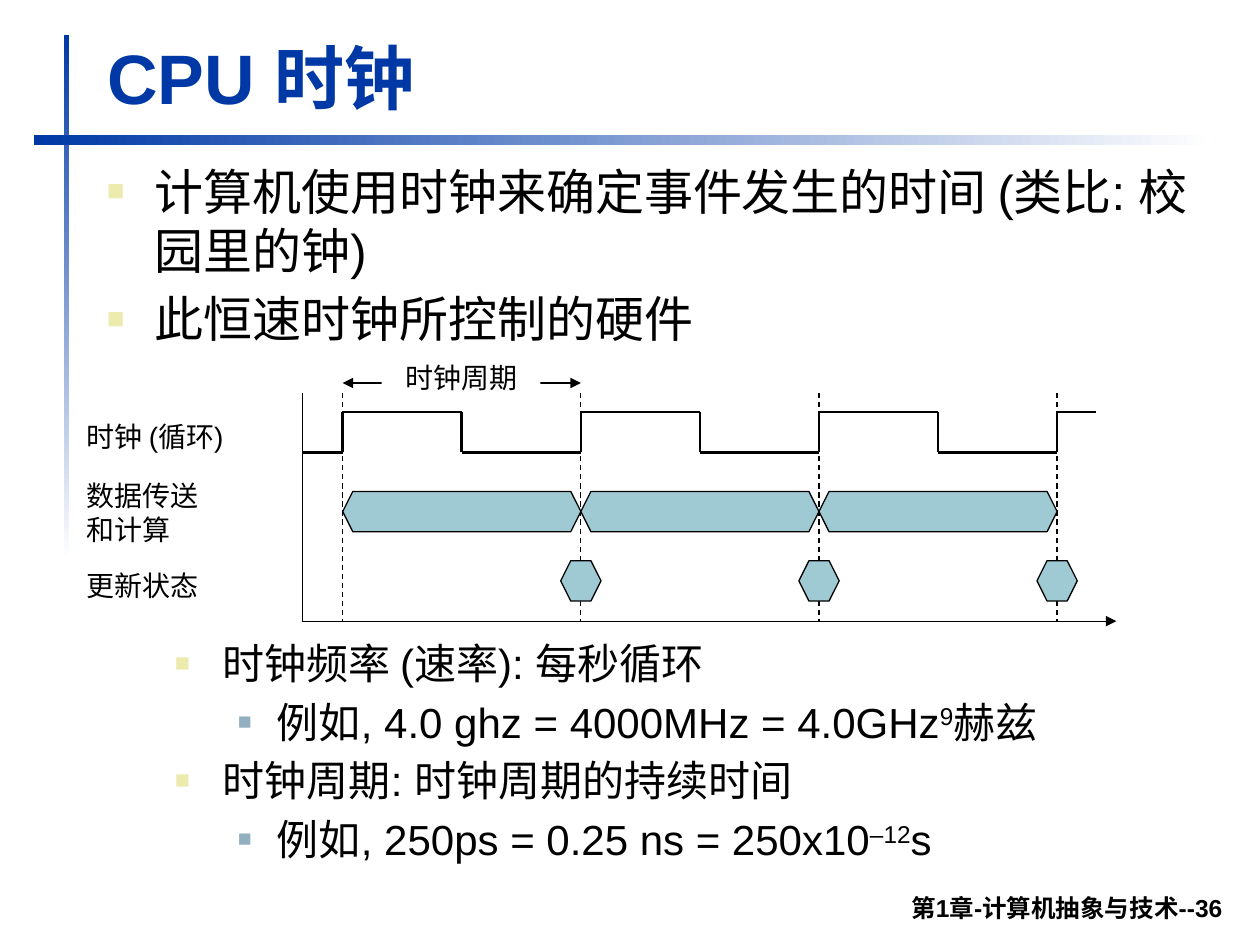
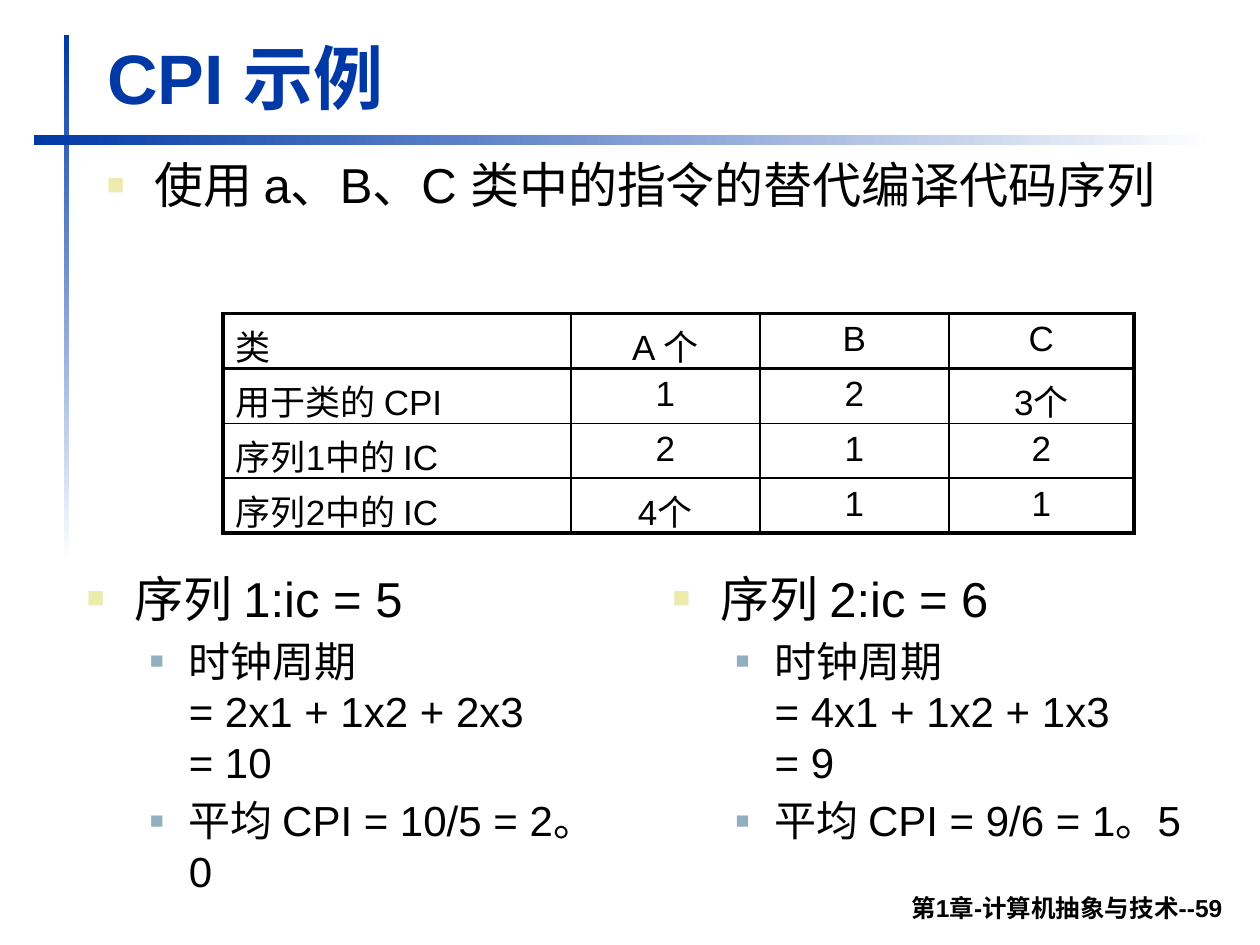
import pptx
import pptx.util
import pptx.dml.color
import pptx.enum.dml
import pptx.enum.shapes
import pptx.enum.text
import pptx.oxml
import pptx.oxml.ns
from lxml import etree

Inches = pptx.util.Inches
Pt = pptx.util.Pt
Align = pptx.enum.text.PP_ALIGN
Anchor = pptx.enum.text.MSO_ANCHOR
qn = pptx.oxml.ns.qn

FONT = "Arial"
BLUE, BLACK, WHITE, TEAL = "0039A6", "000000", "FFFFFF", "9FCAD3"
LEVELS = [
    {"margin": 0.38, "hang": 0.38, "color": "ECEAAC", "percent": 60},
    {"margin": 0.81, "hang": 0.31, "color": "91AFBF", "percent": 55},
]
BANDS = [((0.51, 0.28, 0.04, 4.17), 270), ((0.27, 1.07, 9.37, 0.08), 0)]
TITLE_AREA = (0.75, 0.22, 9.03, 0.77)
FOOTER_AREA = (1.85, 6.98, 7.95, 0.39)
FOOTER = "第1章-计算机抽象与技术--{}"

CLOCK_POINTS = [
    (0, 28, "计算机使用时钟来确定事件发生的时间 (类比: 校园里的钟)"),
    (0, 28, "此恒速时钟所控制的硬件"),
]
RATE_POINTS = [
    (0, 24, "时钟频率 (速率): 每秒循环"),
    (1, 24, "例如, 4.0 ghz = 4000MHz = 4.0GHz^9^赫兹"),
    (0, 24, "时钟周期: 时钟周期的持续时间"),
    (1, 24, "例如, 250ps = 0.25 ns = 250x10^–12^s"),
]
TIMING_LABELS = [
    ("时钟 (循环)", (0.59, 3.28, 1.58, 0.37), Align.LEFT),
    ("数据传送\n和计算", (0.59, 3.75, 1.84, 0.64), Align.LEFT),
    ("更新状态", (0.59, 4.46, 1.46, 0.37), Align.LEFT),
    ("时钟周期", (2.95, 2.81, 1.43, 0.37), Align.CENTER),
]
FIRST_EDGE, PERIOD, CYCLES = 2.72, 1.89, 3
AXIS_LEFT, AXIS_TOP, AXIS_BOTTOM, AXIS_RIGHT = 2.4, 3.12, 4.93, 8.86
HIGH, LOW, WAVE_END, PERIOD_ARROW_Y = 3.27, 3.59, 8.7, 3.04
DATA_TOP, STATE_TOP, BLOCK_HEIGHT = 3.9, 4.45, 0.32
NOTCH = 0.08

SEQUENCE_INTRO = [(0, 28, "使用 a、B、C 类中的指令的替代编译代码序列")]
CPI_ROWS = [
    ["类", "A 个", "B", "C"],
    ["用于类的 CPI", "1", "2", "3个"],
    ["序列1中的 IC", "2", "1", "2"],
    ["序列2中的 IC", "4个", "1", "1"],
]
CPI_AREA = (1.77, 2.49, 7.23, 1.74)
CPI_COLUMNS = [2.76, 1.5, 1.5, 1.47]
SEQUENCES = [
    [
        (0, 28, "序列 1:ic = 5"),
        (1, 24, "时钟周期\n= 2x1 + 1x2 + 2x3\n= 10"),
        (1, 24, "平均 CPI = 10/5 = 2。0"),
    ],
    [
        (0, 28, "序列 2:ic = 6"),
        (1, 24, "时钟周期\n= 4x1 + 1x2 + 1x3\n= 9"),
        (1, 24, "平均 CPI = 9/6 = 1。5"),
    ],
]


def rgb(value):
    return pptx.dml.color.RGBColor.from_string(value)


def lengths(values):
    return [Inches(value) for value in values]


def add_element(parent, tag, **attributes):
    return etree.SubElement(parent, qn(tag), attributes)


def set_font(para, size, color=BLACK, bold=False):
    font = para.font
    font.name, font.size, font.bold = FONT, Pt(size), bold
    font.color.rgb = rgb(color)


def add_text(page, text, area, size, align=Align.LEFT, bold=False, anchor=Anchor.TOP):
    frame = page.shapes.add_textbox(*lengths(area)).text_frame
    frame.word_wrap = True
    frame.vertical_anchor = anchor
    para = frame.paragraphs[0]
    para.text = text
    para.alignment = align
    set_font(para, size, bold=bold)


def fill_with_superscripts(para, text):
    for index, piece in enumerate(text.split("^")):
        span = para.add_run()
        span.text = piece
        if index % 2:
            span._r.get_or_add_rPr().set("baseline", "30000")


def add_bullet(para, level):
    properties = para._p.get_or_add_pPr()
    properties.set("marL", str(Inches(level["margin"])))
    properties.set("indent", str(-Inches(level["hang"])))
    color = add_element(properties, "a:buClr")
    add_element(color, "a:srgbClr", val=level["color"])
    add_element(properties, "a:buSzPct", val=str(level["percent"] * 1000))
    add_element(properties, "a:buFont", typeface=FONT)
    add_element(properties, "a:buChar", char="■")


def add_points(page, points, area, line_spacing=1.0):
    frame = page.shapes.add_textbox(*lengths(area)).text_frame
    frame.word_wrap = True
    for index, (level, size, text) in enumerate(points):
        para = frame.add_paragraph() if index else frame.paragraphs[0]
        if "^" in text:
            fill_with_superscripts(para, text)
        else:
            para.text = text
        para.line_spacing = line_spacing
        para.space_before = Pt(size * 0.2 if index else 0)
        add_bullet(para, LEVELS[level])
        set_font(para, size)


def add_page(deck, title, number):
    page = deck.slides.add_slide(deck.slide_layouts[5])
    for area, angle in BANDS:
        band = page.shapes.add_shape(pptx.enum.shapes.MSO_SHAPE.RECTANGLE, *lengths(area))
        band.shadow.inherit = False
        band.line.fill.background()
        band.fill.gradient()
        band.fill.gradient_angle = angle
        for stop, color in zip(band.fill.gradient_stops, (BLUE, WHITE)):
            stop.color.rgb = rgb(color)
    heading = page.shapes.title
    heading.left, heading.top, heading.width, heading.height = lengths(TITLE_AREA)
    frame = heading.text_frame
    frame.text = title
    frame.auto_size = pptx.enum.text.MSO_AUTO_SIZE.NONE
    frame.vertical_anchor = Anchor.BOTTOM
    frame.paragraphs[0].alignment = Align.LEFT
    set_font(frame.paragraphs[0], 40, BLUE, True)
    add_text(page, FOOTER.format(number), FOOTER_AREA, 14, Align.RIGHT, True, Anchor.BOTTOM)
    return page


def add_line(page, start, end, width=0.75, dashed=False, arrows=()):
    line = page.shapes.add_connector(
        pptx.enum.shapes.MSO_CONNECTOR.STRAIGHT, *lengths(start + end))
    line.line.color.rgb = rgb(BLACK)
    line.line.width = Pt(width)
    if dashed:
        line.line.dash_style = pptx.enum.dml.MSO_LINE.DASH
    for arrow in arrows:
        add_element(line.line._get_or_add_ln(), arrow, type="triangle")
    add_element(line._element.spPr, "a:effectLst")


def add_hexagon(page, left, top, width):
    right, middle, bottom = left + width, top + BLOCK_HEIGHT / 2, top + BLOCK_HEIGHT
    outline = [
        (left, middle), (left + NOTCH, top), (right - NOTCH, top),
        (right, middle), (right - NOTCH, bottom), (left + NOTCH, bottom),
    ]
    corners = [lengths(corner) for corner in outline]
    builder = page.shapes.build_freeform(*corners[0])
    builder.add_line_segments(corners[1:], close=True)
    block = builder.convert_to_shape()
    block.shadow.inherit = False
    block.fill.solid()
    block.fill.fore_color.rgb = rgb(TEAL)
    block.line.color.rgb = rgb(BLACK)
    block.line.width = Pt(0.75)


def draw_timing(page):
    edges = [FIRST_EDGE + PERIOD * index for index in range(CYCLES + 1)]
    add_line(page, (edges[0], PERIOD_ARROW_Y), (edges[1], PERIOD_ARROW_Y),
             arrows=("a:headEnd", "a:tailEnd"))
    for edge in edges:
        add_line(page, (edge, AXIS_TOP), (edge, AXIS_BOTTOM), dashed=True)

    wave = [(AXIS_LEFT, LOW)]
    for edge in edges[:-1]:
        fall = edge + PERIOD / 2
        wave += [(edge, LOW), (edge, HIGH), (fall, HIGH), (fall, LOW)]
    wave += [(edges[-1], LOW), (edges[-1], HIGH), (WAVE_END, HIGH)]
    for start, end in zip(wave, wave[1:]):
        add_line(page, start, end, 1.5)

    origin = (AXIS_LEFT, AXIS_BOTTOM)
    add_line(page, origin, (AXIS_RIGHT, AXIS_BOTTOM), arrows=("a:tailEnd",))
    add_line(page, origin, (AXIS_LEFT, AXIS_TOP))
    for start, end in zip(edges, edges[1:]):
        add_hexagon(page, start, DATA_TOP, PERIOD)
        add_hexagon(page, end - BLOCK_HEIGHT / 2, STATE_TOP, BLOCK_HEIGHT)

    label_gap = page.shapes.add_shape(
        pptx.enum.shapes.MSO_SHAPE.RECTANGLE, *lengths((3.03, 2.96, 1.26, 0.16)))
    label_gap.shadow.inherit = False
    label_gap.fill.solid()
    label_gap.fill.fore_color.rgb = rgb(WHITE)
    label_gap.line.fill.background()
    for text, area, align in TIMING_LABELS:
        add_text(page, text, area, 16, align)


def set_borders(cell, thick_sides):
    properties = cell._tc.get_or_add_tcPr()
    for side in "LRTB":
        width = Pt(2.25 if side in thick_sides else 1)
        border = add_element(properties, "a:ln" + side, w=str(width))
        add_element(add_element(border, "a:solidFill"), "a:srgbClr", val=BLACK)


def add_cpi_table(page):
    row_count, column_count = len(CPI_ROWS), len(CPI_COLUMNS)
    table = page.shapes.add_table(row_count, column_count, *lengths(CPI_AREA)).table
    table.first_row = table.horz_banding = False
    for column, width in zip(table.columns, CPI_COLUMNS):
        column.width = Inches(width)
    for row, texts in enumerate(CPI_ROWS):
        for column, text in enumerate(texts):
            cell = table.cell(row, column)
            sides = {
                "L": column == 0,
                "R": column == column_count - 1,
                "T": row in (0, 1),
                "B": row in (0, row_count - 1),
            }
            set_borders(cell, [side for side, thick in sides.items() if thick])
            cell.fill.background()
            para = cell.text_frame.paragraphs[0]
            para.text = text
            para.alignment = Align.CENTER if column else Align.LEFT
            set_font(para, 20)


def main():
    deck = pptx.Presentation()
    deck.slide_width, deck.slide_height = Inches(10), Inches(7.5)

    clock_page = add_page(deck, "CPU 时钟", 36)
    add_points(clock_page, CLOCK_POINTS, (0.75, 1.23, 9.05, 1.65))
    draw_timing(clock_page)
    add_points(clock_page, RATE_POINTS, (1.29, 5.01, 8.5, 2.13))

    cpi_page = add_page(deck, "CPI 示例", 59)
    add_points(cpi_page, SEQUENCE_INTRO, (0.75, 1.23, 9.05, 1.09), 0.9)
    add_cpi_table(cpi_page)
    for index, points in enumerate(SEQUENCES):
        add_points(cpi_page, points, (0.59 + 4.65 * index, 4.46, 4.25, 2.28))

    deck.save("out.pptx")


if __name__ == "__main__":
    main()
